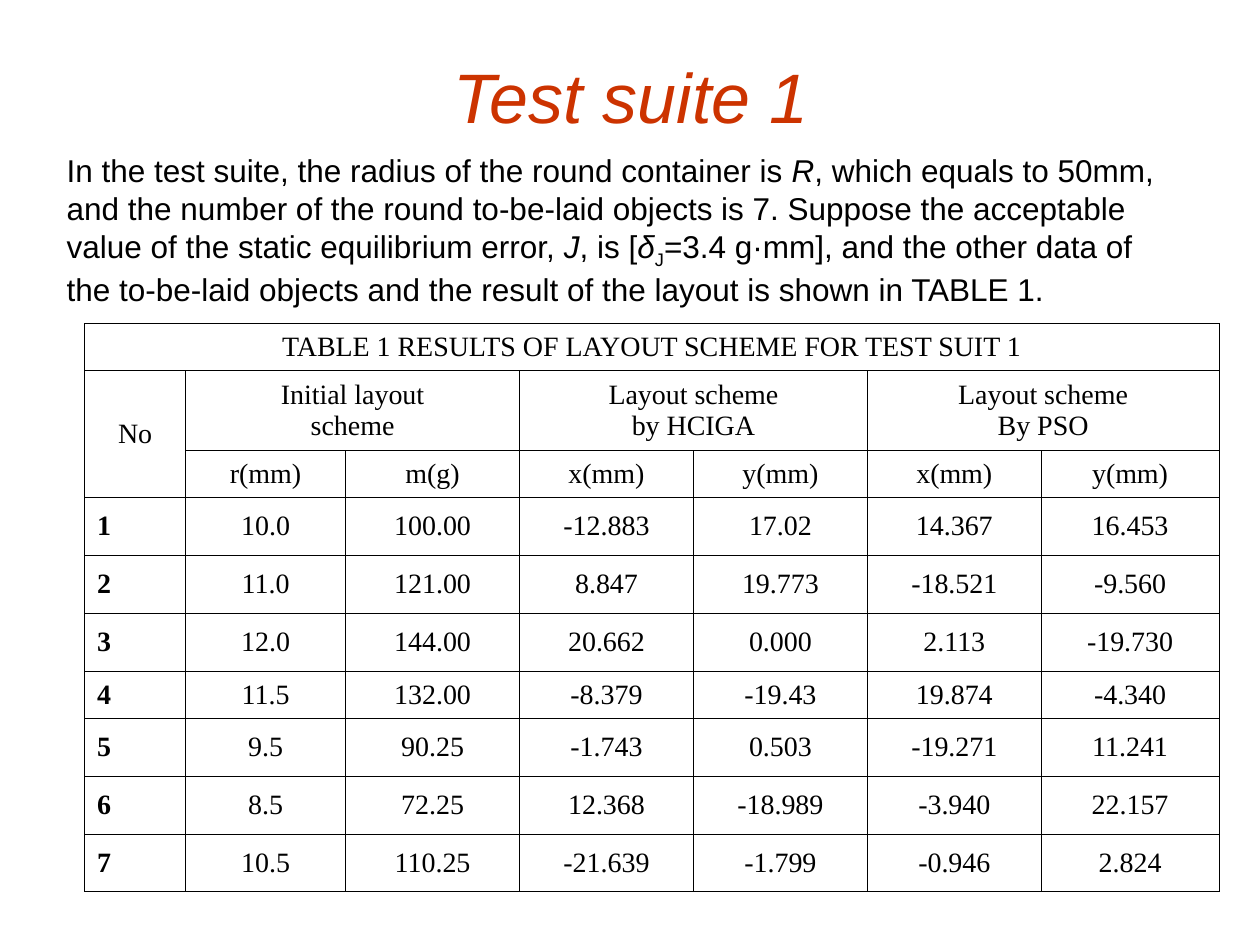
"""Build the "Test suite 1" slide with its introduction and results table."""
from lxml.etree import SubElement
from pptx import Presentation
from pptx.dml.color import RGBColor
from pptx.enum.text import MSO_ANCHOR as Anchor, PP_ALIGN as Align
from pptx.oxml.ns import qn
from pptx.util import Pt

BLACK = "000000"


def add_run(paragraph, text, font, size, color=BLACK, bold=False, italic=False):
    run = paragraph.add_run()
    run.text = text
    run.font.name = font
    run.font.size = Pt(size)
    run.font.bold = bold
    run.font.italic = italic
    run.font.color.rgb = RGBColor.from_string(color)
    return run


def add_borders(cell, color, width):
    properties = cell._tc.get_or_add_tcPr()
    for side in ("lnL", "lnR", "lnT", "lnB"):
        line = SubElement(properties, qn(f"a:{side}"), w=str(Pt(width)))
        fill = SubElement(line, qn("a:solidFill"))
        SubElement(fill, qn("a:srgbClr"), val=color)


presentation = Presentation()
presentation.slide_width = Pt(720)
presentation.slide_height = Pt(540)
slide = presentation.slides.add_slide(presentation.slide_layouts[5])

title = slide.shapes.title
title.left, title.top, title.width, title.height = Pt(36.7), Pt(26), Pt(648), Pt(57)
title.text_frame.vertical_anchor = Anchor.MIDDLE
paragraph = title.text_frame.paragraphs[0]
paragraph.alignment = Align.CENTER
add_run(paragraph, "Test suite 1", "Arial", 40, "CC3300", italic=True)

column_widths = [57.8, 91.4, 99.4, 99.4, 99.4, 99.4, 101.5]
row_heights = [26.9, 45.6, 26.9] + [33.1] * 3 + [26.9] + [33.1] * 3
rows = [
    ["TABLE 1 RESULTS OF LAYOUT SCHEME FOR TEST SUIT 1"] + [""] * 6,
    ["No", "Initial layout\nscheme", "", "Layout scheme\nby HCIGA", "",
     "Layout scheme\nBy PSO", ""],
    ["", "r(mm)", "m(g)", "x(mm)", "y(mm)", "x(mm)", "y(mm)"],
    ["1", "10.0", "100.00", "-12.883", "17.02", "14.367", "16.453"],
    ["2", "11.0", "121.00", "8.847", "19.773", "-18.521", "-9.560"],
    ["3", "12.0", "144.00", "20.662", "0.000", "2.113", "-19.730"],
    ["4", "11.5", "132.00", "-8.379", "-19.43", "19.874", "-4.340"],
    ["5", "9.5", "90.25", "-1.743", "0.503", "-19.271", "11.241"],
    ["6", "8.5", "72.25", "12.368", "-18.989", "-3.940", "22.157"],
    ["7", "10.5", "110.25", "-21.639", "-1.799", "-0.946", "2.824"],
]
header_rows = 3

table_frame = slide.shapes.add_table(
    len(rows), len(column_widths), Pt(48.3), Pt(184.9),
    Pt(sum(column_widths)), Pt(sum(row_heights)))
table = table_frame.table
table.first_row = False
table.horz_banding = False
for column, width in zip(table.columns, column_widths):
    column.width = Pt(width)
for row, height in zip(table.rows, row_heights):
    row.height = Pt(height)

table.cell(0, 0).merge(table.cell(0, 6))
table.cell(1, 0).merge(table.cell(2, 0))
for first in (1, 3, 5):
    table.cell(1, first).merge(table.cell(1, first + 1))

for row_index, values in enumerate(rows):
    for column_index, value in enumerate(values):
        cell = table.cell(row_index, column_index)
        add_borders(cell, BLACK, 0.45)
        cell.fill.background()
        cell.vertical_anchor = Anchor.MIDDLE
        if not value:
            continue
        is_number = column_index == 0 and row_index >= header_rows
        for line_index, text in enumerate(value.split("\n")):
            frame = cell.text_frame
            paragraph = frame.add_paragraph() if line_index else frame.paragraphs[0]
            paragraph.alignment = Align.LEFT if is_number else Align.CENTER
            add_run(paragraph, text, "Times New Roman", 16, bold=is_number)

introduction = slide.shapes.add_textbox(Pt(31), Pt(82.8), Pt(646.6), Pt(96.5))
introduction.text_frame.word_wrap = True
paragraph = introduction.text_frame.paragraphs[0]
for text, style in [
    ("In the test suite, the radius of the round container is ", ""),
    ("R", "italic"),
    (", which equals to 50mm, and the number of the round to-be-laid objects is 7. "
     "Suppose the acceptable value of the static equilibrium error, ", ""),
    ("J", "italic"),
    (", is [", ""),
    ("δ", "italic"),
    ("J", "subscript"),
    ("=3.4 g·mm], and the other data of the to-be-laid objects and the result of "
     "the layout is shown in TABLE 1.", ""),
]:
    run = add_run(paragraph, text, "Arial", 18, italic=style == "italic")
    if style == "subscript":
        run.font._element.set("baseline", "-25000")

presentation.save("out.pptx")
